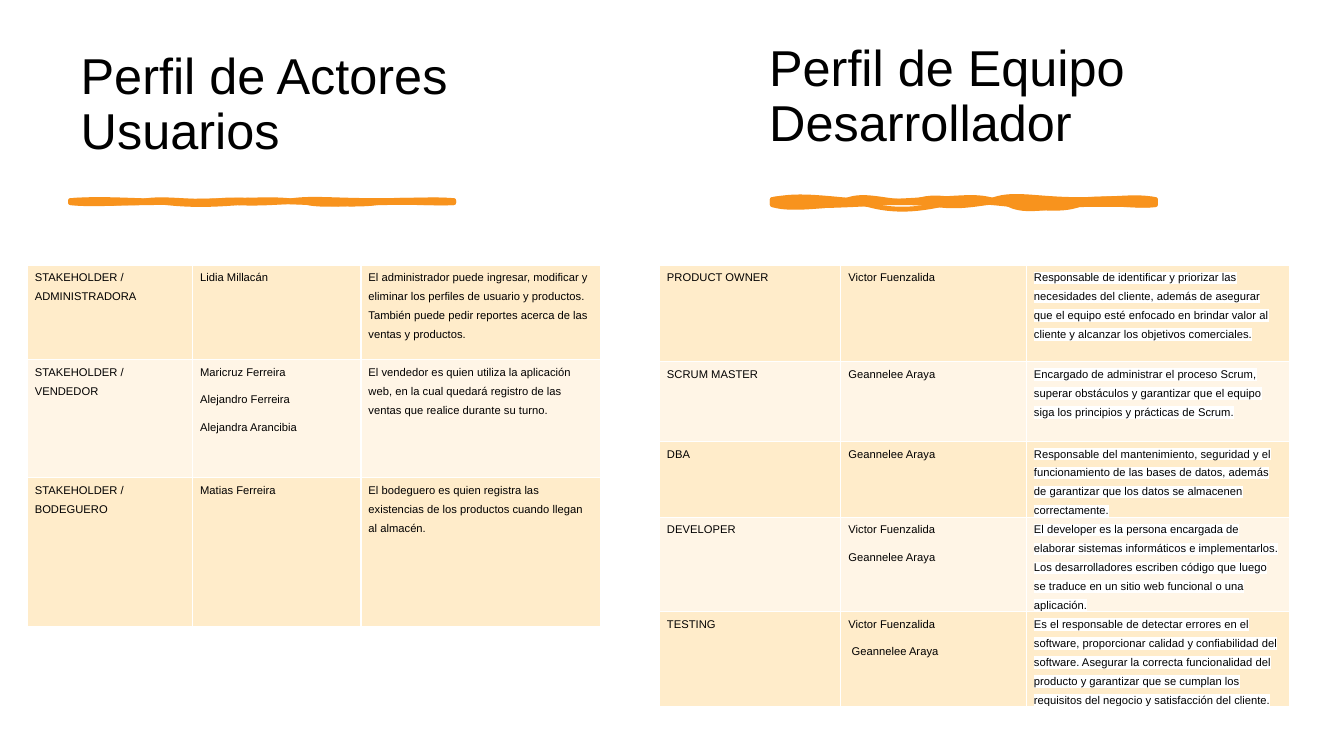
from dataclasses import dataclass

from lxml.etree import SubElement
from pptx import Presentation
from pptx.dml.color import RGBColor
from pptx.enum.text import MSO_ANCHOR as Anchor, MSO_AUTO_SIZE as AutoSize, PP_ALIGN as Align
from pptx.oxml.ns import qn
from pptx.util import Inches, Pt

FONT = "Arial"
BLACK, WHITE, ORANGE = "000000", "FFFFFF", "F8931D"
BANDS = ("FFECCA", "FFF5E6")
BRUSH_WIDTH, BRUSH_HEIGHT = 3.8, 0.05

# Brush contours: cubic segments (control, control, end) in inches from the top left
# corner, with the upper edge drawn rightwards and the lower edge drawn back.
OUTER_BRUSH = (
    [(0.24, -0.04), (0.54, 0.08), (0.76, 0), (0.97, -0.07), (1.23, 0.07), (1.48, 0),
     (1.72, -0.06), (1.99, 0.08), (2.2, 0), (2.41, -0.07), (2.62, 0), (3.04, 0),
     (3.45, 0), (3.59, -0.04), (3.8, 0)],
    [(3.53, 0.08), (3.22, -0.01), (3.04, 0.05), (2.86, 0.12), (2.56, 0.07), (2.39, 0.05),
     (2.23, 0.04), (1.98, -0.01), (1.67, 0.05), (1.35, 0.12), (1.14, 0.1), (0.95, 0.05),
     (0.76, 0), (0.25, 0.13), (0, 0.05)],
)
INNER_BRUSH = (
    [(0.22, -0.04), (0.36, -0.03), (0.68, 0), (1, 0.03), (1.2, 0.02), (1.52, 0),
     (1.84, -0.01), (2, -0.04), (2.16, 0), (2.32, 0.04), (2.62, -0.02), (2.81, 0),
     (3, 0.02), (3.32, -0.03), (3.8, 0)],
    [(3.63, 0.06), (3.43, 0.04), (3.07, 0.05), (2.72, 0.07), (2.51, 0.13), (2.35, 0.05),
     (2.2, -0.03), (1.99, 0.1), (1.63, 0.05), (1.27, 0.01), (1.03, 0.04), (0.79, 0.05),
     (0.56, 0.06), (0.29, 0.07), (0, 0.05)],
)


@dataclass
class Member:
    role: str
    people: list[str]
    duty: str
    height: float


@dataclass
class Profile:
    title: str
    title_box: tuple[float, float, float, float]
    brush_at: tuple[float, float]
    brush_stretch: float
    table_left: float
    columns: tuple[float, float, float]
    members: list[Member]
    role_align: Align = Align.LEFT
    duty_highlight: str | None = None


PROFILES = [
    Profile("Perfil de Actores Usuarios", (0.7, 0.38, 4.78, 1.26), (0.7, 1.99), 0.4,
            0.27, (1.64, 1.67, 2.38), [
        Member("STAKEHOLDER / ADMINISTRADORA", ["Lidia Millacán"],
               "El administrador puede ingresar, modificar y eliminar los perfiles de usuario "
               "y productos. También puede pedir reportes acerca de las ventas y productos.", 0.94),
        Member("STAKEHOLDER / VENDEDOR",
               ["Maricruz Ferreira", "Alejandro Ferreira", "Alejandra Arancibia"],
               "El vendedor es quien utiliza la aplicación web, en la cual quedará registro de "
               "las ventas que realice durante su turno.", 1.17),
        Member("STAKEHOLDER / BODEGUERO", ["Matias Ferreira"],
               "El bodeguero es quien registra las existencias de los productos cuando llegan "
               "al almacén.", 1.48),
    ]),
    Profile("Perfil de Equipo Desarrollador", (7.53, 0.36, 4.78, 1.2), (7.66, 1.98), 1,
            6.54, (1.8, 1.84, 2.61), [
        Member("PRODUCT OWNER", ["Victor Fuenzalida"],
               "Responsable de identificar y priorizar las necesidades del cliente, además de "
               "asegurar que el equipo esté enfocado en brindar valor al cliente y alcanzar los "
               "objetivos comerciales.", 0.96),
        Member("SCRUM MASTER", ["Geannelee Araya"],
               "Encargado de administrar el proceso Scrum, superar obstáculos y garantizar que "
               "el equipo siga los principios y prácticas de Scrum.", 0.79),
        Member("DBA", ["Geannelee Araya"],
               "Responsable del mantenimiento, seguridad y el funcionamiento de las bases de "
               "datos, además de garantizar que los datos se almacenen correctamente.", 0.66),
        Member("DEVELOPER", ["Victor Fuenzalida", "Geannelee Araya"],
               "El developer es la persona encargada de elaborar sistemas informáticos e "
               "implementarlos. Los desarrolladores escriben código que luego se traduce en un "
               "sitio web funcional o una aplicación.", 0.82),
        Member("TESTING", ["Victor Fuenzalida", " Geannelee Araya"],
               "Es el responsable de detectar errores en el software, proporcionar calidad y "
               "confiabilidad del software. Asegurar la correcta funcionalidad del producto y "
               "garantizar que se cumplan los requisitos del negocio y satisfacción del cliente.",
               0.82),
    ], Align.JUSTIFY, WHITE),
]


def paint(fill, color: str) -> None:
    fill.solid()
    fill.fore_color.rgb = RGBColor.from_string(color)


def add_color(parent, tag: str, color: str) -> None:
    SubElement(SubElement(parent, qn(tag)), qn("a:srgbClr"), val=color)


def write(frame, texts: list[str], *, size: float, spacing: float,
          align: Align = Align.LEFT, highlight: str | None = None) -> None:
    frame.word_wrap = True
    for index, text in enumerate(texts):
        para = frame.add_paragraph() if index else frame.paragraphs[0]
        para.alignment, para.line_spacing = align, spacing
        para.space_before = Pt(6 if index else 0)
        span = para.add_run()
        span.text = text
        span.font.size = Pt(size)
        paint(span.font.fill, BLACK)
        if highlight:
            add_color(span.font._element, "a:highlight", highlight)
        span.font.name = FONT


def add_title(box, profile: Profile) -> None:
    box.left, box.top, box.width, box.height = map(Inches, profile.title_box)
    frame = box.text_frame
    frame.auto_size = AutoSize.NONE
    frame.vertical_anchor = Anchor.BOTTOM
    write(frame, [profile.title], size=36, spacing=0.9)


def add_contour(path, upper: list, lower: list, stretch: float) -> None:
    """Write a closed outline of cubic curves into a shape's path."""
    right_end = [(BRUSH_WIDTH, y) for y in (0.02, 0.03, BRUSH_HEIGHT)]
    left_end = [(0, y) for y in (0.03, 0.02, 0)]
    points = upper + right_end + lower + left_end
    curves = [points[i:i + 3] for i in range(0, len(points), 3)]
    steps = [("a:moveTo", [(0, 0)])] + [("a:cubicBezTo", curve) for curve in curves]
    for tag, corners in steps:
        step = SubElement(path, qn(tag))
        for x, y in corners:
            SubElement(step, qn("a:pt"), x=str(Inches(x)), y=str(Inches(y * stretch)))
    SubElement(path, qn("a:close"))


def add_brush(page, profile: Profile) -> None:
    """Draw one stroke whose outer contour is only a line and whose inner one is filled."""
    left, top = map(Inches, profile.brush_at)
    right = left + Inches(BRUSH_WIDTH)
    bottom = top + Inches(BRUSH_HEIGHT * profile.brush_stretch)
    builder = page.shapes.build_freeform(left, top)
    builder.add_line_segments([(right, top), (right, bottom), (left, bottom)])
    brush = builder.convert_to_shape()
    brush.shadow.inherit = False
    paint(brush.fill, ORANGE)
    paint(brush.line.fill, ORANGE)
    brush.line.width = Pt(3.5)

    filled = brush._element.find(".//" + qn("a:path"))
    del filled[:]
    outline = SubElement(filled.getparent(), qn("a:path"), dict(filled.attrib), fill="none")
    filled.addprevious(outline)
    for path, edges in ((outline, OUTER_BRUSH), (filled, INNER_BRUSH)):
        add_contour(path, *edges, profile.brush_stretch)


def add_borders(cell) -> None:
    props = cell._tc.get_or_add_tcPr()
    for index, side in enumerate("LRTB"):
        border = SubElement(props, qn(f"a:ln{side}"), w=str(Pt(1)))
        add_color(border, "a:solidFill", WHITE)
        props.insert(index, border)


def add_members(page, profile: Profile) -> None:
    members = profile.members
    table = page.shapes.add_table(
        len(members), len(profile.columns), Inches(profile.table_left), Inches(2.63),
        Inches(sum(profile.columns)), Inches(sum(m.height for m in members))).table
    table.first_row = table.horz_banding = False
    for column, width in zip(table.columns, profile.columns):
        column.width = Inches(width)
    for index, (row, member) in enumerate(zip(table.rows, members)):
        row.height = Inches(member.height)
        contents = (([member.role], profile.role_align, None),
                    (member.people, Align.LEFT, None),
                    ([member.duty], Align.LEFT, profile.duty_highlight))
        for cell, (texts, align, highlight) in zip(row.cells, contents):
            cell.margin_left = cell.margin_right = Pt(5.4)
            cell.margin_top = cell.margin_bottom = 0
            paint(cell.fill, BANDS[index % 2])
            add_borders(cell)
            write(cell.text_frame, texts, size=8, spacing=1.5, align=align, highlight=highlight)


def main() -> None:
    deck = Presentation()
    deck.slide_width, deck.slide_height = Inches(13.33), Inches(7.5)
    page = deck.slides.add_slide(deck.slide_layouts.get_by_name("Title Only"))
    for index, profile in enumerate(PROFILES):
        box = page.shapes.add_textbox(0, 0, 0, 0) if index else page.shapes.title
        add_title(box, profile)
        add_brush(page, profile)
        add_members(page, profile)
    deck.save("out.pptx")


if __name__ == "__main__":
    main()
